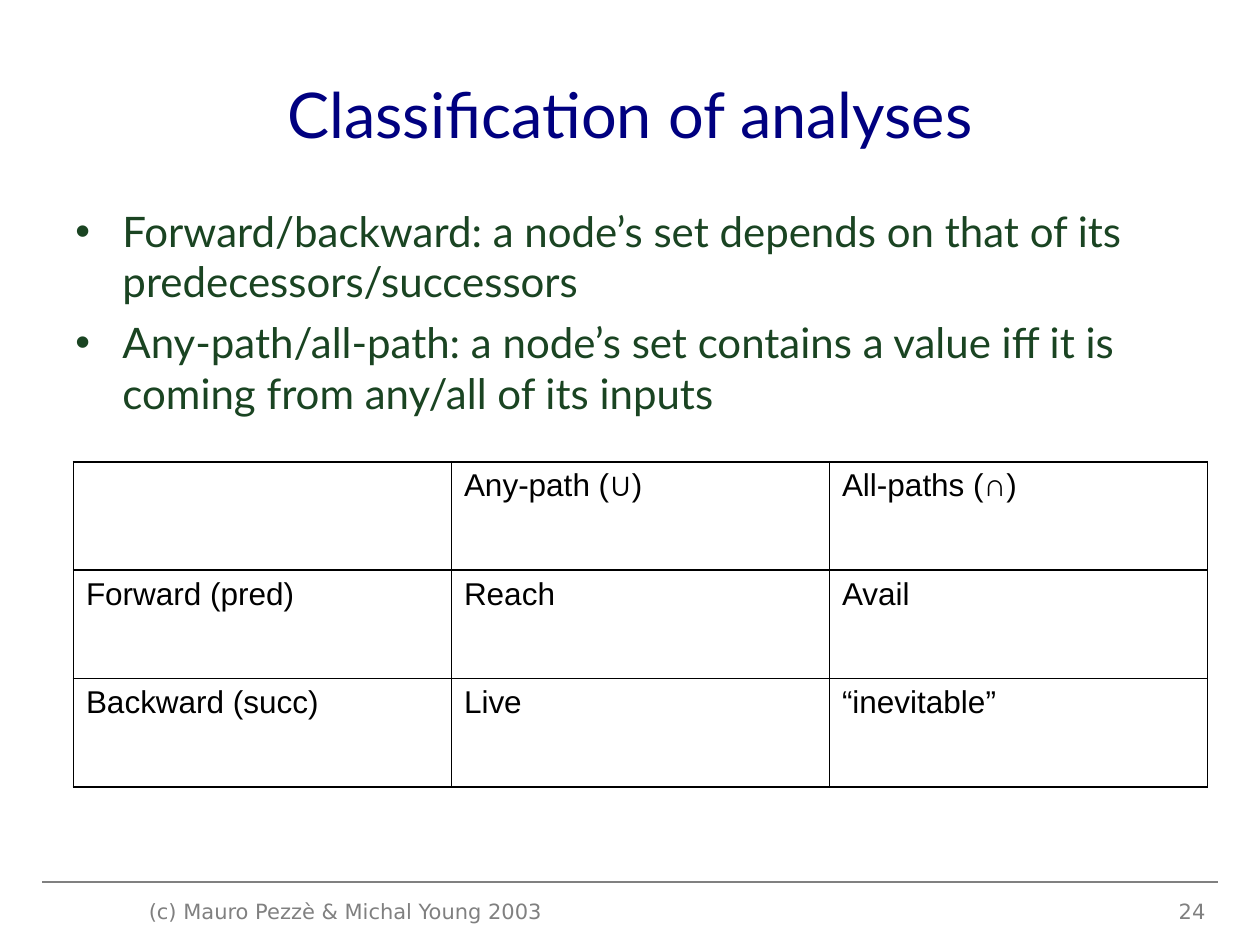
"""Build the slide on the classification of data flow analyses."""
from lxml import etree
from pptx import Presentation
from pptx import util as u
from pptx.dml.color import RGBColor
from pptx.enum import shapes, text
from pptx.oxml.ns import qn

NAVY = RGBColor(0x00, 0x00, 0x80)
GREEN = RGBColor(0x1A, 0x44, 0x22)
GREY = RGBColor(0x80, 0x80, 0x80)
BLACK = RGBColor(0x00, 0x00, 0x00)

POINTS = [
    "Forward/backward: a node’s set depends on that of its predecessors/successors",
    "Any-path/all-path: a node’s set contains a value iff it is coming from any/all of its inputs",
]
ANALYSES = [
    ["", "Any-path (∪)", "All-paths (∩)"],
    ["Forward (pred)", "Reach", "Avail"],
    ["Backward (succ)", "Live", "“inevitable”"],
]
GRID_WEIGHTS = [1.08, 1.08, 0.45, 1.08]


def set_font(paragraph, name, size, color):
    paragraph.font.name = name
    paragraph.font.size = u.Pt(size)
    paragraph.font.color.rgb = color


def add_text(slide, box, lines, name, size, color,
             align=text.PP_ALIGN.LEFT, anchor=text.MSO_ANCHOR.TOP, bulleted=False):
    frame = slide.shapes.add_textbox(*map(u.Cm, box)).text_frame
    frame.word_wrap = True
    frame.vertical_anchor = anchor
    frame.text = "\n".join(lines)
    for index, paragraph in enumerate(frame.paragraphs):
        paragraph.alignment = align
        if index:
            paragraph.space_before = u.Pt(6)
        if bulleted:
            add_bullet(paragraph)
        set_font(paragraph, name, size, color)


def add_bullet(paragraph):
    properties = paragraph._p.get_or_add_pPr()
    properties.set("marL", str(u.Cm(0.95)))
    properties.set("indent", str(u.Cm(-0.95)))
    font = etree.SubElement(properties, qn("a:buFont"))
    font.set("typeface", "Arial")
    bullet = etree.SubElement(properties, qn("a:buChar"))
    bullet.set("char", "•")


def add_border(cell, side, weight):
    line = etree.SubElement(cell._tc.get_or_add_tcPr(), qn(f"a:ln{side}"))
    line.set("w", str(u.Pt(weight)))
    fill = etree.SubElement(line, qn("a:solidFill"))
    etree.SubElement(fill, qn("a:srgbClr")).set("val", str(BLACK))


def add_analysis_table(slide, box):
    table = slide.shapes.add_table(
        len(ANALYSES), len(ANALYSES[0]), *map(u.Cm, box)).table
    table.first_row = table.horz_banding = False
    for row, labels in enumerate(ANALYSES):
        for column, label in enumerate(labels):
            cell = table.cell(row, column)
            cell.text = label
            set_font(cell.text_frame.paragraphs[0], "Arial", 18, BLACK)
            for side, edge in (("L", column), ("R", column + 1),
                               ("T", row), ("B", row + 1)):
                add_border(cell, side, GRID_WEIGHTS[edge])
            cell.fill.background()


def add_footer_rule(slide, left, right, y):
    rule = slide.shapes.add_connector(
        shapes.MSO_CONNECTOR.STRAIGHT, u.Cm(left), u.Cm(y), u.Cm(right), u.Cm(y))
    rule.line.color.rgb = GREY
    rule.line.width = u.Pt(0.75)
    etree.SubElement(rule._element.spPr, qn("a:effectLst"))


def main():
    deck = Presentation()
    deck.slide_width, deck.slide_height = u.Cm(25.4), u.Cm(19.05)
    slide = deck.slides.add_slide(deck.slide_layouts[6])

    add_footer_rule(slide, 0.85, 24.55, 17.78)
    add_text(slide, (1.27, 0.76, 22.86, 3.05), ["Classification of analyses"],
             "Lato", 36, NAVY, text.PP_ALIGN.CENTER, text.MSO_ANCHOR.MIDDLE)
    add_text(slide, (1.27, 4.02, 22.86, 6.55), POINTS, "Lato", 24, GREEN, bulleted=True)
    add_analysis_table(slide, (1.48, 9.31, 22.86, 6.56))
    add_text(slide, (2.75, 17.98, 8.89, 0.69), ["(c) Mauro Pezzè & Michal Young 2003"],
             "DejaVu Sans", 12, GREY)
    add_text(slide, (18.63, 17.98, 5.92, 0.69), ["24"],
             "DejaVu Sans", 12, GREY, text.PP_ALIGN.RIGHT)
    deck.save("out.pptx")


if __name__ == "__main__":
    main()
